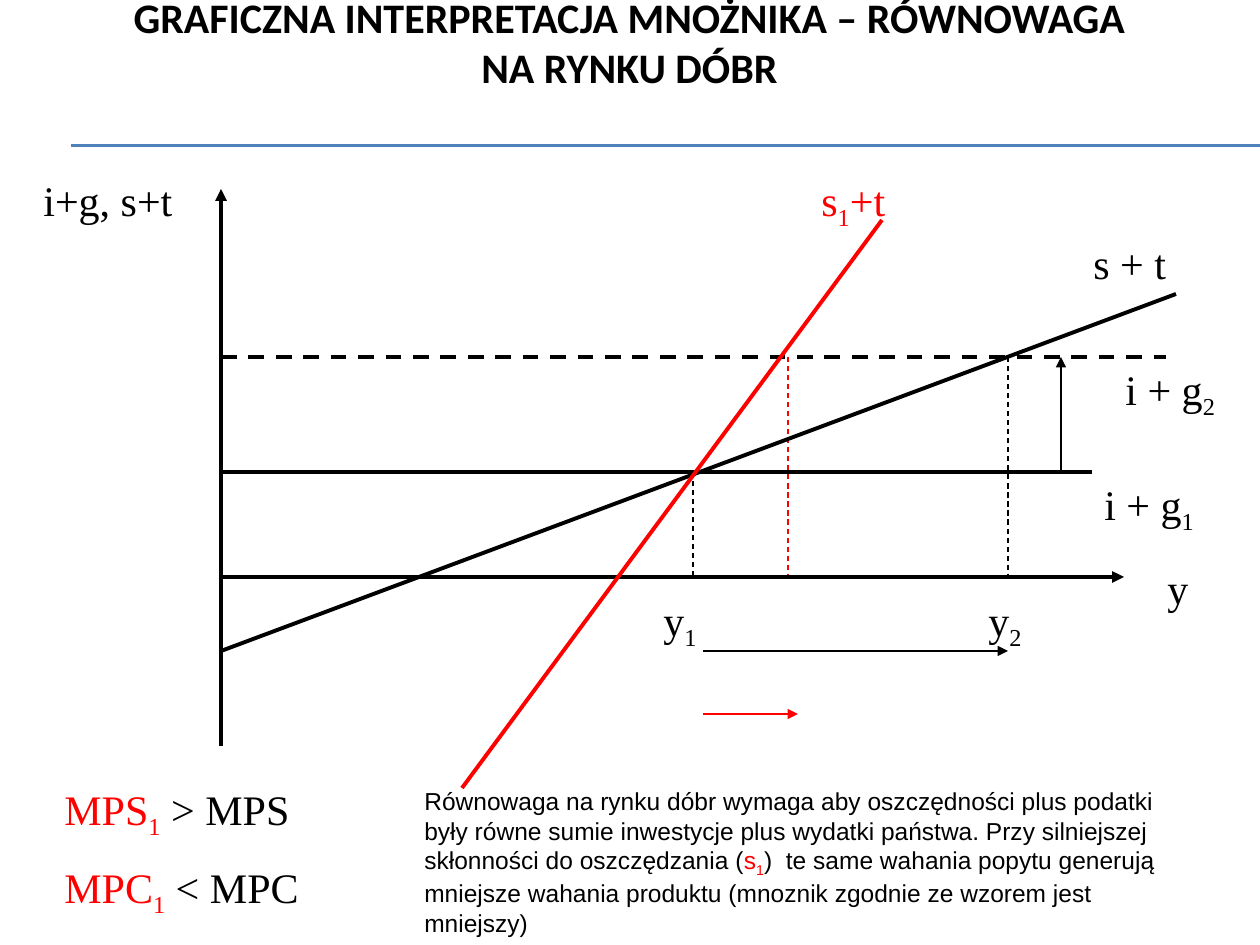
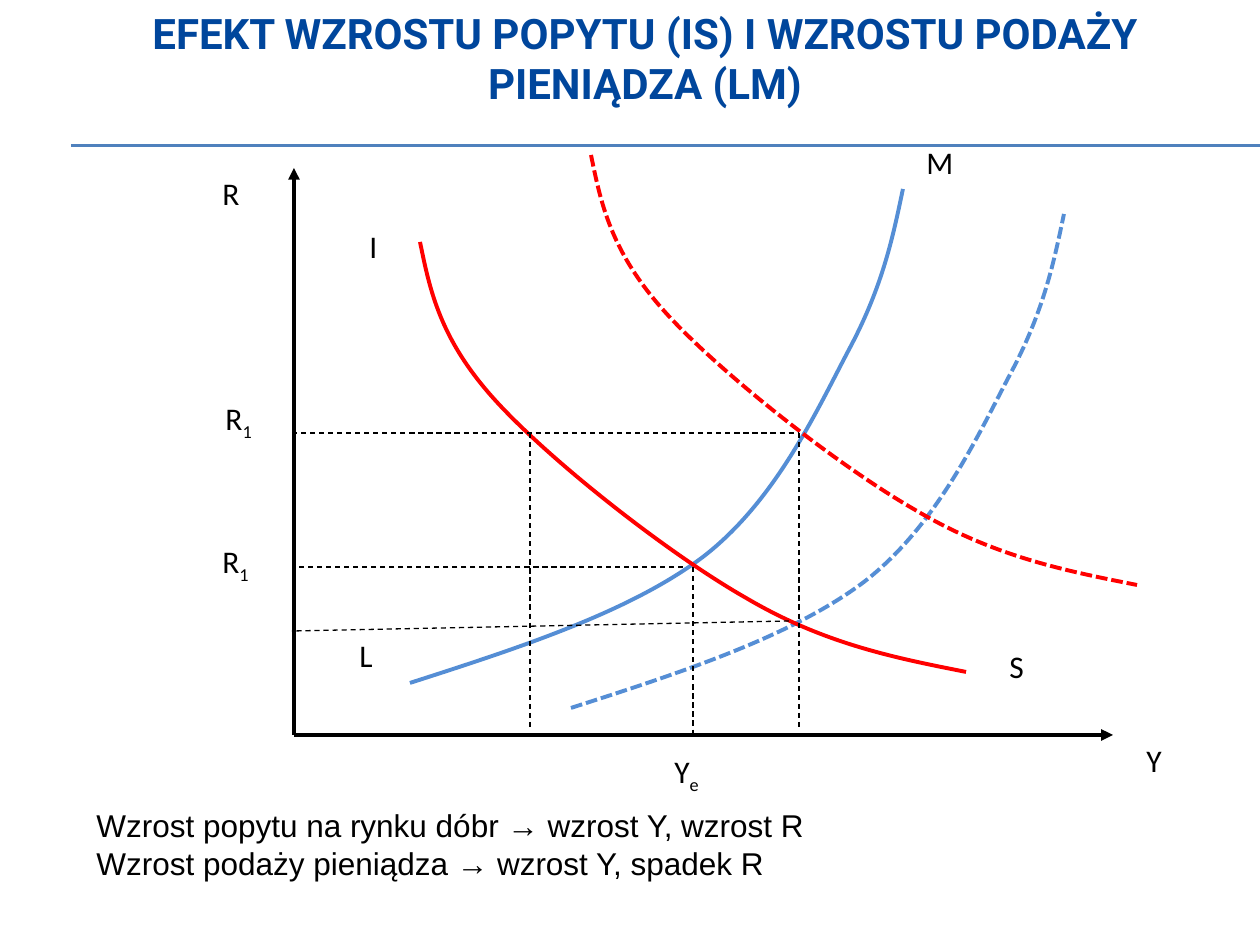
from dataclasses import dataclass
from pptx import Presentation
from pptx.dml.color import RGBColor
from pptx.enum.dml import MSO_LINE
from pptx.enum.shapes import MSO_CONNECTOR
from pptx.enum.text import MSO_ANCHOR, PP_ALIGN
from pptx.oxml.ns import qn
from pptx.util import Pt
from lxml.etree import SubElement


@dataclass(frozen=True)
class Theme:
    black: str = "000000"
    red: str = "FF0000"
    blue: str = "558ED5"
    navy: str = "00469C"
    rule: str = "4F81BD"
    thin: float = 0.75
    thick: float = 2.25
    serif: str = "Times New Roman"
    sans: str = "Arial"
    plain: str = "Calibri"
    bold: str = "Roboto"
    large: int = 24
    mid: int = 18
    small: int = 14


T = Theme()
SCALE = 914400 / 126
DASH = MSO_LINE.DASH
DOTS = MSO_LINE.SQUARE_DOT


def px(n):
    return round(n * SCALE)


def rgb(hue):
    return RGBColor.from_string(hue)


def style(item, form):
    for key, value in form.items():
        setattr(item, key, value)


def stroke(line, hue, width, dash):
    line.color.rgb = rgb(hue)
    style(line, {"width": Pt(width), "dash_style": dash})


def add_run(para, text, hue, form, sub=False):
    if text:
        run = para.add_run()
        run.text = text
        style(run.font, form)
        run.font.color.rgb = rgb(hue)
        if sub:
            run.font._element.set("baseline", "-25000")


def add_span(para, text, hue, form):
    head, *rest = text.split("_")
    add_run(para, head, hue, form)
    for part in rest:
        add_run(para, part[0], hue, form, True)
        add_run(para, part[1:], hue, form)


def bend(shape):
    legs = list(shape._element.iter(qn("a:lnTo")))
    for i in range(0, len(legs), 3):
        arc = SubElement(legs[i].getparent(), qn("a:cubicBezTo"))
        for leg in legs[i:i + 3]:
            arc.append(leg[0])
            leg.getparent().remove(leg)


class Region:
    def __init__(self, slide, box):
        self.shapes = slide.shapes
        self.left, self.top, self.width, self.height = box

    def spot(self, x, y):
        return px(self.left + x), px(self.top + y)

    def line(self, start, end, hue=T.black, width=T.thin, dash=None, arrow=False):
        link = self.shapes.add_connector(
            MSO_CONNECTOR.STRAIGHT, *self.spot(*start), *self.spot(*end))
        stroke(link.line, hue, width, dash)
        if arrow:
            SubElement(link.line._get_or_add_ln(), qn("a:tailEnd"), type="triangle")
        SubElement(link._element.spPr, qn("a:effectLst"))

    def curve(self, knots, hue, shift=(0, 0), dash=None):
        dots = [self.spot(x + shift[0], y + shift[1]) for x, y in knots]
        pen = self.shapes.build_freeform(*dots[0])
        pen.add_line_segments(dots[1:], close=False)
        shape = pen.convert_to_shape()
        bend(shape)
        shape.shadow.inherit = False
        shape.fill.background()
        stroke(shape.line, hue, T.thick, dash)

    def text(self, x, y, w, h, paras, form, hue=T.black, gap=0,
             align=PP_ALIGN.LEFT, anchor=MSO_ANCHOR.TOP):
        frame = self.shapes.add_textbox(*self.spot(x, y), px(w), px(h)).text_frame
        style(frame, {"word_wrap": True, "vertical_anchor": anchor})
        for i, spans in enumerate(paras):
            para = frame.add_paragraph() if i else frame.paragraphs[0]
            para.alignment = align
            if i and gap:
                para.space_before = Pt(gap)
            for text, tint in spans:
                add_span(para, text, tint or hue, form)

    def fill(self, paras, form, **more):
        self.text(0, 0, self.width, self.height, paras, form, **more)

    def labels(self, rows, form):
        for text, x, y, w, hue in rows:
            self.text(x, y, w, 63, [[(text, hue)]], form)


def header(slide, box, text, name, hue):
    band = Region(slide, (71, 145, 1189, 1))
    for y in (0, 1):
        band.line((0, y), (1189, y), T.rule)
    form = {"name": name, "size": Pt(T.large), "bold": True}
    Region(slide, box).fill([[(text, hue)]], form,
                            align=PP_ALIGN.CENTER, anchor=MSO_ANCHOR.MIDDLE)


def goods_graph(slide, box):
    area = Region(slide, box)
    left, base, low, high = 190, 409, 304, 189
    first, third, second = 662, 757, 977
    bold = {"width": T.thick}
    for x, top, hue in ((second, high, T.black), (first, low, T.black),
                        (third, high, T.red)):
        area.line((x, top), (x, base), hue, dash=DASH)
    area.line((left, base), (1093, base), arrow=True, **bold)
    area.line((left, 578), (left, 21), arrow=True, **bold)
    area.line((left, low), (1061, low), **bold)
    area.line((left, 483), (1145, 126), **bold)
    area.line((left, high), (1135, high), dash=DASH, **bold)
    area.line((851, 52), (431, 620), T.red, **bold)
    area.line((672, 483), (second, 483), arrow=True)
    area.line((672, 546), (767, 546), T.red, arrow=True)
    area.line((1030, low), (1030, high), arrow=True)
    area.labels((
        ("i+g, s+t", 0, 0, 168, None),
        ("s_1+t", 778, 0, 189, T.red),
        ("s + t", 1050, 63, 126, None),
        ("i + g_2", 1082, high, 147, None),
        ("i + g_1", 1061, low, 168, None),
        ("y", 1124, 388, 63, None),
        ("y_1", 620, 420, 95, None),
        ("y_2", 945, 420, 95, None),
    ), {"name": T.serif, "size": Pt(T.large)})


def money_graph(slide, box):
    area = Region(slide, box)
    left, base = 84, 599
    for end in ((left, 32), (903, base)):
        area.line((left, base), end, width=T.thick, arrow=True)
    supply = ((200, 547), (309, 512), (420, 476), (493, 421), (567, 364),
              (608, 272), (641, 210), (673, 149), (683, 101), (693, 53))
    demand = ((210, 106), (220, 155), (230, 203), (284, 263), (338, 323),
              (457, 417), (536, 462), (614, 508), (685, 522), (756, 536))
    for knots, hue, shift in ((supply, T.blue, (161, 25)),
                              (demand, T.red, (171, -87))):
        area.curve(knots, hue)
        area.curve(knots, hue, shift, DOTS)
    for start, end in (
        ((82, 297), (589, 297)), ((320, 297), (320, 594)),
        ((473, 431), (left, 431)), ((483, 431), (483, base)),
        ((579, 485), (82, 495)), ((589, 297), (589, 594)),
    ):
        area.line(start, end, dash=DASH)
    area.labels((
        ("R", 0, 32, 63, None),
        ("Y", 924, 599, 84, None),
        ("I", 147, 85, 63, None),
        ("S", 787, 505, 63, None),
        ("L", 137, 494, 63, None),
        ("M", 704, 1, 73, None),
        ("R_1", 3, 257, 84, None),
        ("R_1", 0, 400, 73, None),
        ("Y_e", 452, 610, 84, None),
    ), {"name": T.plain, "size": Pt(T.mid)})


def goods_slide(slide):
    header(slide, (94, 0, 1071, 83),
           "GRAFICZNA INTERPRETACJA MNOŻNIKA – RÓWNOWAGA NA RYNKU DÓBR",
           T.plain, T.black)
    goods_graph(slide, (31, 168, 1229, 621))
    Region(slide, (52, 777, 347, 139)).fill(
        [[("MPS_1", T.red), (" > MPS", None)], [("MPC_1", T.red), (" < MPC", None)]],
        {"name": T.serif, "size": Pt(T.large)}, gap=12)
    Region(slide, (412, 780, 794, 161)).fill([[
        ("Równowaga na rynku dóbr wymaga aby oszczędności plus podatki były równe "
         "sumie inwestycje plus wydatki państwa. Przy silniejszej skłonności do "
         "oszczędzania (", None),
        ("s_1", T.red),
        (")  te same wahania popytu generują mniejsze wahania produktu "
         "(mnoznik zgodnie ze wzorem jest mniejszy)", None),
    ]], {"name": T.sans, "size": Pt(T.small)})


def money_slide(slide):
    header(slide, (94, 0, 1102, 116),
           "EFEKT WZROSTU POPYTU (IS) I WZROSTU PODAŻY PIENIĄDZA (LM)",
           T.bold, T.navy)
    money_graph(slide, (210, 136, 1008, 673))
    Region(slide, (84, 800, 1062, 89)).fill([
        [("Wzrost popytu na rynku dóbr → wzrost Y, wzrost R", None)],
        [("Wzrost podaży pieniądza → wzrost Y, spadek R", None)],
    ], {"name": T.sans, "size": Pt(T.mid)})


def main():
    deck = Presentation()
    style(deck, {"slide_width": px(1260), "slide_height": px(945)})
    for build in (goods_slide, money_slide):
        build(deck.slides.add_slide(deck.slide_layouts[6]))
    deck.save("out.pptx")


if __name__ == "__main__":
    main()
